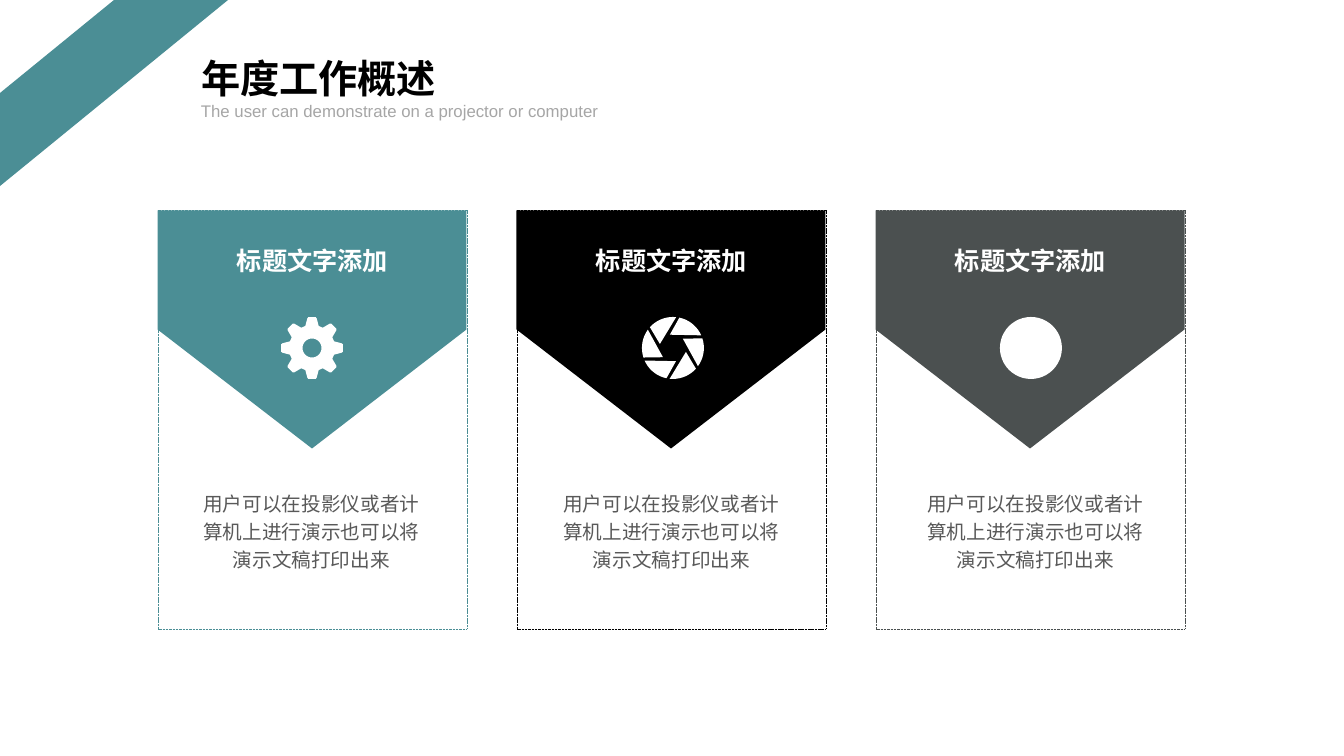
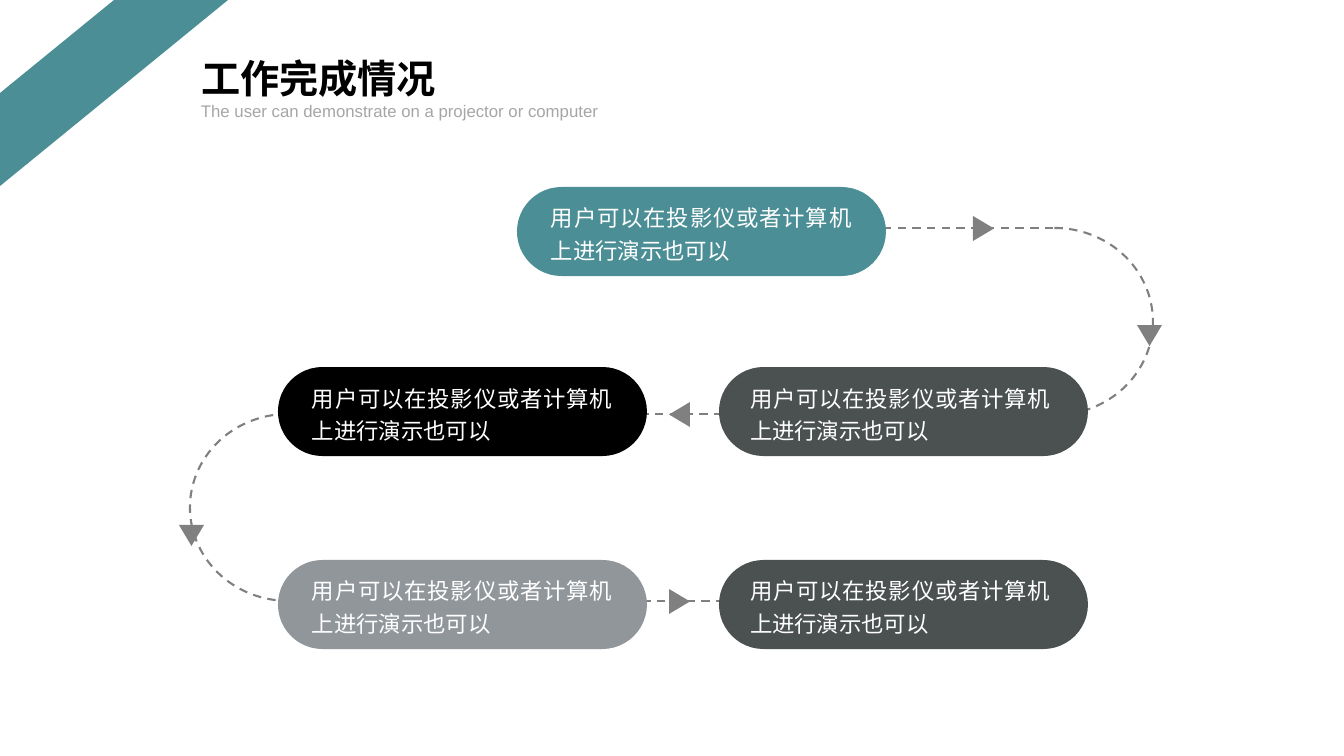
import math
from dataclasses import dataclass

import lxml.etree
import pptx
import pptx.dml.color
import pptx.enum.dml
import pptx.enum.shapes
import pptx.enum.text
import pptx.oxml.ns
import pptx.util

SHAPE = pptx.enum.shapes.MSO_SHAPE
DASH = pptx.enum.dml.MSO_LINE
ALIGN = pptx.enum.text.PP_ALIGN
ANCHOR = pptx.enum.text.MSO_ANCHOR
qn = pptx.oxml.ns.qn


@dataclass(frozen=True)
class Theme:
    font: str = "Arial"
    teal: str = "4B8E95"
    black: str = "000000"
    slate: str = "4B5050"
    silver: str = "91969B"
    white: str = "FFFFFF"
    body: str = "595959"
    caption: str = "A6A6A6"
    route: str = "808080"
    title_size: int = 28
    heading_size: int = 18
    pill_size: int = 16
    body_size: int = 14
    caption_size: int = 12
    route_width: float = 1.5
    card_width: float = 0.25
    spacing: float = 1.2


T = Theme()
SUBTITLE = "The user can demonstrate on a projector or computer"
CARD_HEADING = "标题文字添加"
CARD_BODY = "用户可以在投影仪或者计算机上进行演示也可以将演示文稿打印出来"
STEP_TEXT = "用户可以在投影仪或者计算机上进行演示也可以"


def px(n):
    return pptx.util.Emu(round(n * 914400 / 100.8))


def rgb(color):
    return pptx.dml.color.RGBColor.from_string(color)


def polar(cx, cy, points):
    return [(cx + r * math.cos(math.radians(a)), cy + r * math.sin(math.radians(a)))
            for r, a in points]


class Deck:
    def __init__(self):
        self.prs = pptx.Presentation()
        self.prs.slide_width, self.prs.slide_height = px(1344), px(756)
        self.s = None

    def slide(self, title):
        self.s = self.prs.slides.add_slide(self.prs.slide_layouts[5])
        self.shape(SHAPE.DIAGONAL_STRIPE, 0, 0, 228, 186, T.teal)
        sp = self.s.shapes.title
        sp.left, sp.top, sp.width, sp.height = px(191), px(49), px(558), px(57)
        self.typeset(sp, title, T.title_size, T.black, bold=True)
        self.text(191, 96, 558, 30, SUBTITLE, T.caption_size, T.caption)

    def typeset(self, sp, text, size, color, bold=False, align=ALIGN.LEFT,
                spacing=1.0, anchor=ANCHOR.TOP):
        tf = sp.text_frame
        tf.text = text
        tf.word_wrap = True
        tf.auto_size = pptx.enum.text.MSO_AUTO_SIZE.NONE
        tf.vertical_anchor = anchor
        p = tf.paragraphs[0]
        p.alignment, p.line_spacing = align, spacing
        r = p.runs[0]
        r.font.name, r.font.size, r.font.bold = T.font, pptx.util.Pt(size), bold
        r.font.color.rgb = rgb(color)
        ea = lxml.etree.SubElement(r.font._element, qn("a:ea"))
        ea.set("typeface", T.font)

    def text(self, x, y, w, h, text, size, color, **style):
        sp = self.s.shapes.add_textbox(px(x), px(y), px(w), px(h))
        self.typeset(sp, text, size, color, **style)

    def paint(self, sp, fill=None, line=None, width=1, dash=None):
        sp.shadow.inherit = False
        if fill:
            sp.fill.solid()
            sp.fill.fore_color.rgb = rgb(fill)
        else:
            sp.fill.background()
        if line:
            self.stroke(sp, line, width, dash)
        else:
            sp.line.fill.background()

    def stroke(self, sp, color, width, dash):
        sp.line.color.rgb = rgb(color)
        sp.line.width = pptx.util.Pt(width)
        sp.line.dash_style = dash

    def shape(self, kind, x, y, w, h, fill=None, adj=(), rotation=0, **line):
        sp = self.s.shapes.add_shape(kind, px(x), px(y), px(w), px(h))
        for i, value in enumerate(adj):
            sp.adjustments[i] = value
        sp.rotation = rotation
        self.paint(sp, fill, **line)
        return sp

    def outline(self, contours, fill):
        fb = None
        for contour in contours:
            start, *rest = [(px(x), px(y)) for x, y in contour]
            if fb is None:
                fb = self.s.shapes.build_freeform(*start, scale=1.0)
            else:
                fb.move_to(*start)
            fb.add_line_segments(rest, close=True)
        self.paint(fb.convert_to_shape(), fill)

    def gear(self, cx, cy):
        tooth = [(23, -17), (30, -9), (31, -7), (31, 7), (30, 9), (23, 17)]
        rim = [(r, a + turn) for turn in range(0, 360, 45) for r, a in tooth]
        hole = [(9.5, -a) for a in range(0, 360, 10)]
        self.outline([polar(cx, cy, rim), polar(cx, cy, hole)], T.white)

    def aperture(self, cx, cy):
        blade = [(31, a) for a in range(-138, -83, 6)] + [(13.6, -163)]
        self.outline([polar(cx, cy, [(r, a + turn) for r, a in blade])
                      for turn in range(0, 360, 60)], T.white)

    def disc(self, cx, cy):
        self.shape(SHAPE.OVAL, cx - 31, cy - 31, 62, 62, T.white)

    def card(self, x, color, icon, icon_x, body_x):
        y, w, h, flag = 210, 309, 419, 238
        self.shape(SHAPE.PENTAGON, x + (w - flag) // 2, y - (w - flag) // 2, flag, w,
                   color, rotation=90)
        icon(icon_x, y + 138)
        self.shape(SHAPE.RECTANGLE, x, y, w, h, line=color, width=T.card_width,
                   dash=DASH.SQUARE_DOT)
        style = dict(align=ALIGN.CENTER, spacing=T.spacing)
        self.text(x + 31, y + 24, 247, 44, CARD_HEADING, T.heading_size, T.white,
                  bold=True, **style)
        self.text(body_x, y + 272, 247, 93, CARD_BODY, T.body_size, T.body, **style)

    def route(self, x1, x2, y):
        sp = self.s.shapes.add_connector(pptx.enum.shapes.MSO_CONNECTOR.STRAIGHT,
                                         px(x1), px(y), px(x2), px(y))
        self.stroke(sp, T.route, T.route_width, DASH.DASH)
        lxml.etree.SubElement(sp._element.spPr, qn("a:effectLst"))

    def bend(self, x, y, start, end):
        self.shape(SHAPE.ARC, x, y, 197, 187, adj=(start, end), line=T.route,
                   width=T.route_width, dash=DASH.DASH)

    def pointer(self, cx, cy, rotation):
        self.shape(SHAPE.ISOSCELES_TRIANGLE, cx - 12, cy - 10, 25, 21, T.route,
                   rotation=rotation)

    def pill(self, x, y, color, left=21, right=21):
        sp = self.shape(SHAPE.ROUNDED_RECTANGLE, x, y, 369, 89, color, adj=(0.5,))
        tf = sp.text_frame
        tf.margin_left, tf.margin_right = px(left), px(right)
        tf.margin_top = tf.margin_bottom = 0
        self.typeset(sp, STEP_TEXT, T.pill_size, T.white, align=ALIGN.JUSTIFY,
                     spacing=T.spacing, anchor=ANCHOR.MIDDLE)


def overview(deck):
    deck.slide("年度工作概述")
    cards = [(T.teal, deck.gear, 312, 188),
             (T.black, deck.aperture, 673, 548),
             (T.slate, deck.disc, 1031, 912)]
    for i, card in enumerate(cards):
        deck.card(158 + 359 * i, *card)


def progress(deck):
    deck.slide("工作完成情况")
    top, middle, bottom = 228, 414, 601
    for x1, x2, y in [(824, 1053, top), (287, 1053, middle), (289, 734, bottom)]:
        deck.route(x1, x2, y)
    deck.bend(956, top, 162, 54.68)
    deck.bend(190, middle, 53.32, 162)
    for cx, cy, rotation in [(983, top, 90), (679, middle, 270), (679, bottom, 90),
                             (1149, 335, 180), (191, 535, 180)]:
        deck.pointer(cx, cy, rotation)
    deck.pill(517, 187, T.teal)
    for y, color in [(367, T.black), (560, T.silver)]:
        deck.pill(278, y, color)
        deck.pill(719, y, T.slate, left=18, right=24)


def main():
    deck = Deck()
    overview(deck)
    progress(deck)
    deck.prs.save("out.pptx")


if __name__ == "__main__":
    main()
